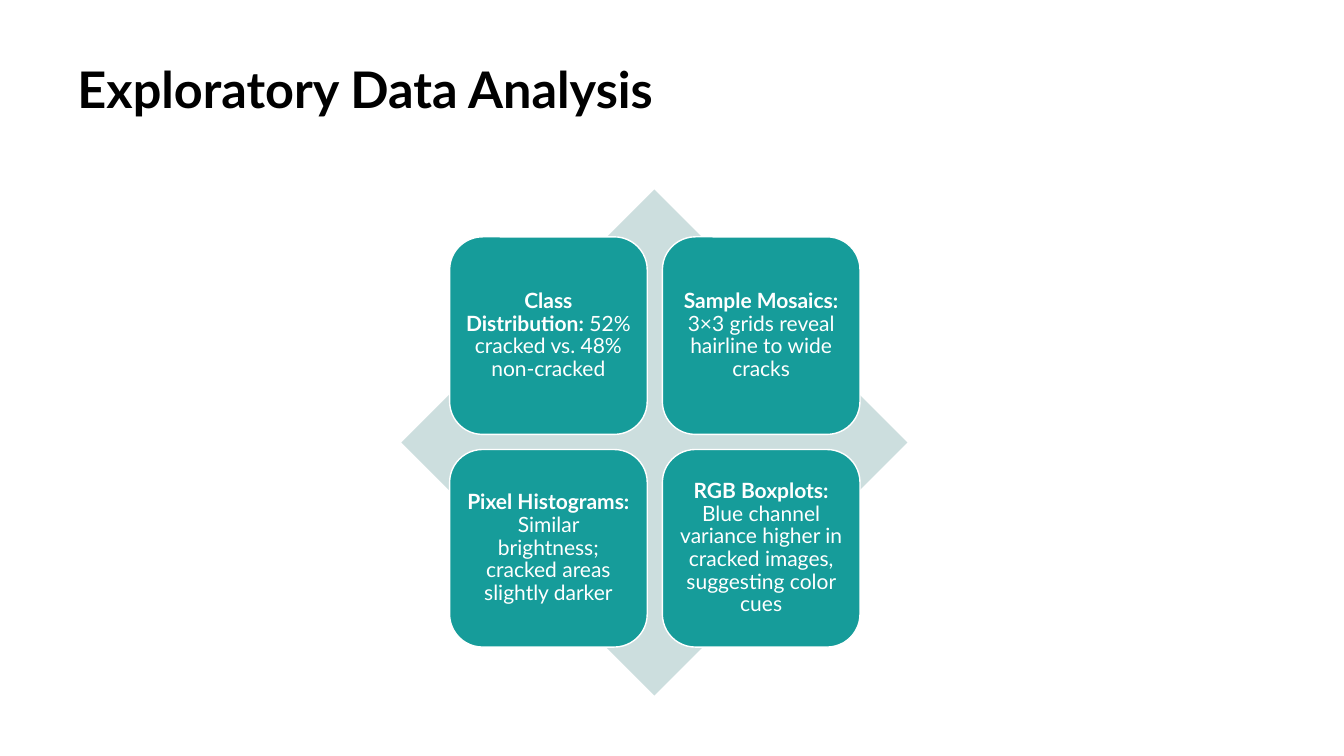
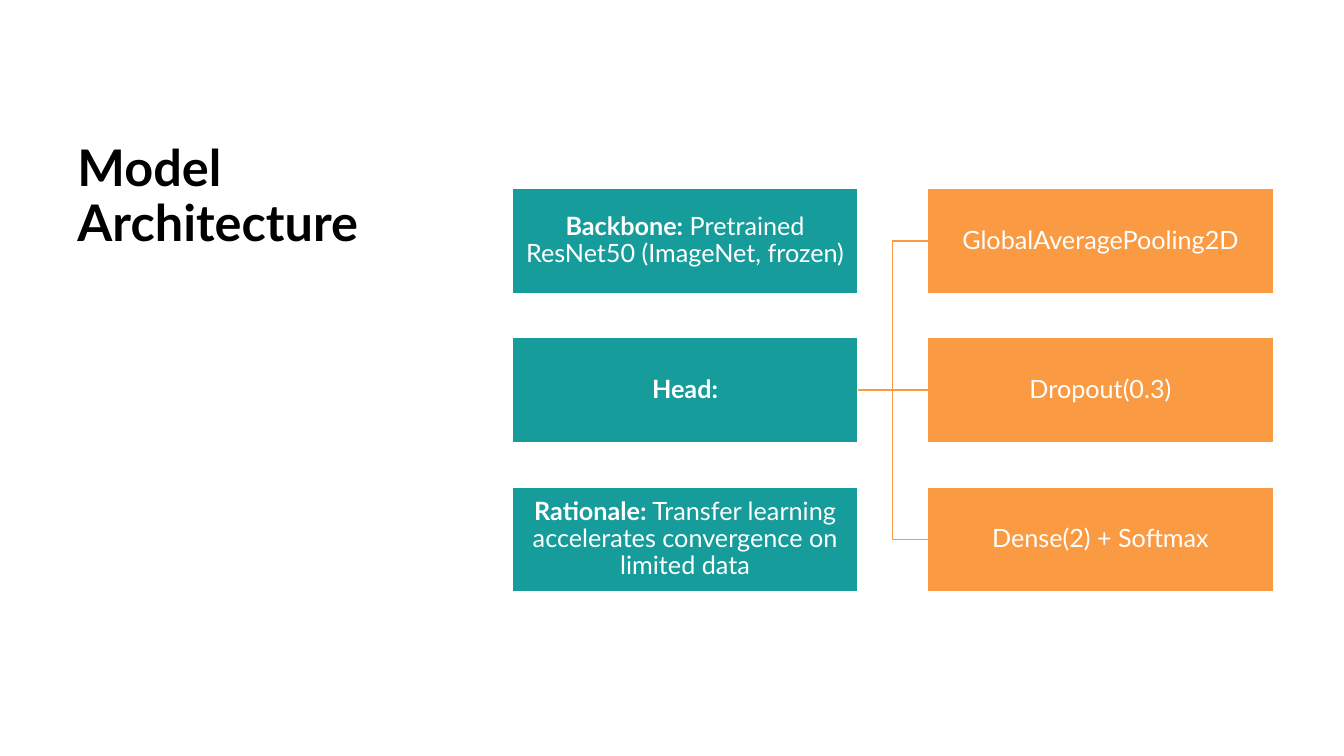
from lxml.etree import SubElement as Sub
from pptx import Presentation
from pptx.dml.color import RGBColor as RGB
from pptx.enum.shapes import MSO_CONNECTOR as Link, MSO_SHAPE as Kind
from pptx.enum.text import MSO_ANCHOR as Anchor, PP_ALIGN as Align
from pptx.oxml.ns import qn
from pptx.util import Emu, Pt

# Content: each text is (bold part, plain part)
EDA = "Exploratory Data Analysis"
CARDS = [
    ("Class Distribution:", " 52% cracked vs. 48% non-cracked"),
    ("Sample Mosaics:", " 3×3 grids reveal hairline to wide cracks"),
    ("Pixel Histograms:", " Similar brightness; cracked areas slightly darker"),
    ("RGB Boxplots:",
     " Blue channel variance higher in cracked images, suggesting color cues"),
]
MODEL = "Model Architecture"
STAGES = [
    ("Backbone:", " Pretrained ResNet50 (ImageNet, frozen)"),
    ("Head:", ""),
    ("Rationale:", " Transfer learning accelerates convergence on limited data"),
]
LAYERS = [
    ("", "GlobalAveragePooling2D"),
    ("", "Dropout(0.3)"),
    ("", "Dense(2) + Softmax"),
]

# Shared style; 100 px to the inch
FONT = "Lato"
TEAL, ORANGE, PALE = "169C9A", "FA9A42", "CCDEDE"
BLACK, WHITE = "000000", "FFFFFF"


def px(n):
    return Emu(n * 9144)


def paint(fill, color):
    fill.solid()
    fill.fore_color.rgb = RGB.from_string(color)


def edge(line, color):
    paint(line.fill, color)
    line.width = Pt(1)


def write(frame, parts, size, color, align, inset=None):
    frame.word_wrap = True
    if inset is not None:
        frame.margin_left = frame.margin_right = px(inset)
        frame.margin_top = frame.margin_bottom = px(inset)
    para = frame.paragraphs[0]
    para.alignment = align
    para.line_spacing = 0.9
    for text, bold in zip(parts, (True, False)):
        if text:
            run = para.add_run()
            run.text = text
            font = run.font
            font.name, font.size, font.bold = FONT, Pt(size), bold
            font.color.rgb = RGB.from_string(color)


def new_slide(deck, title, left, top, width, height):
    slide = deck.slides.add_slide(deck.slide_layouts[6])
    paint(slide.background.fill, WHITE)
    box = slide.shapes.add_textbox(px(left), px(top), px(width), px(height))
    write(box.text_frame, (title,), 36, BLACK, Align.LEFT)
    return slide


def block(slide, kind, left, top, width, height, color):
    item = slide.shapes.add_shape(
        kind, px(left), px(top), px(width), px(height))
    item.shadow.inherit = False
    paint(item.fill, color)
    item.line.fill.background()
    return item


def label(item, parts, size, inset):
    edge(item.line, WHITE)
    item.text_frame.vertical_anchor = Anchor.MIDDLE
    write(item.text_frame, parts, size, WHITE, Align.CENTER, inset)


def join(slide, start, end):
    kind = Link.STRAIGHT if start.top == end.top else Link.ELBOW
    line = slide.shapes.add_connector(kind, 0, 0, 0, 0)
    line.begin_connect(start, 3)
    line.end_connect(end, 1)
    edge(line.line, ORANGE)
    Sub(line._element.spPr, qn("a:effectLst"))


def eda_slide(deck):
    slide = new_slide(deck, EDA, 67, 60, 1165, 124)
    block(slide, Kind.DIAMOND, 398, 188, 502, 502, PALE)
    side, step = 196, 211
    for i, parts in enumerate(CARDS):
        row, col = divmod(i, 2)
        card = block(slide, Kind.ROUNDED_RECTANGLE, 446 + col * step,
                     235 + row * step, side, side, TEAL)
        label(card, parts, 15, 6)


def model_slide(deck):
    slide = new_slide(deck, MODEL, 67, 137, 382, 500)

    def column(left, items, color):
        boxes = []
        for i, parts in enumerate(items):
            box = block(slide, Kind.RECTANGLE, left, 187 + i * 148,
                        343, 104, color)
            label(box, parts, 18, 1)
            boxes.append(box)
        return boxes

    stages = column(508, STAGES, TEAL)
    layers = column(920, LAYERS, ORANGE)
    # The head feeds every layer
    for layer in layers:
        join(slide, stages[1], layer)


def main():
    deck = Presentation()
    deck.slide_width, deck.slide_height = px(1333), px(750)
    eda_slide(deck)
    model_slide(deck)
    deck.save("out.pptx")


if __name__ == "__main__":
    main()
